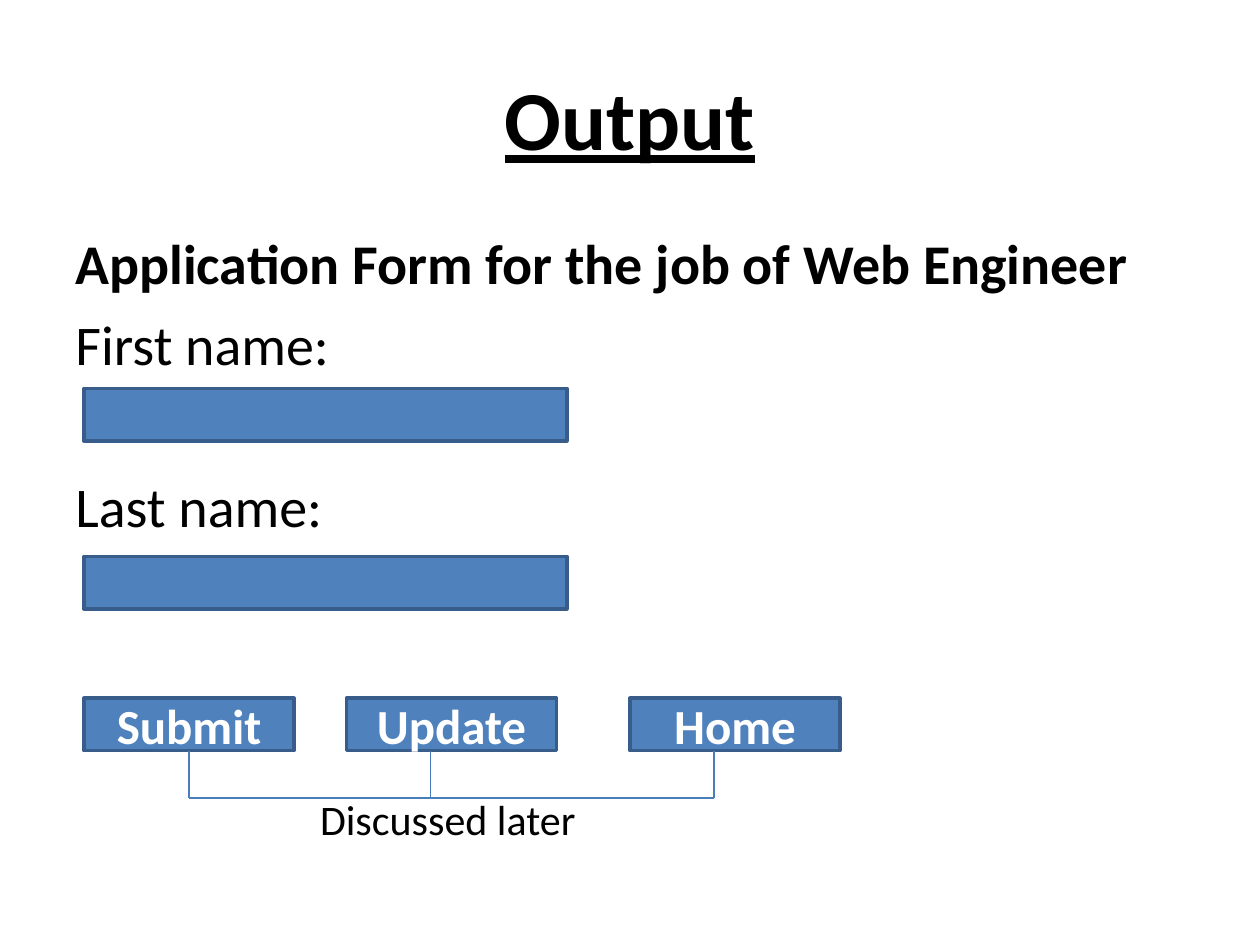
import pptx
import pptx.util
import pptx.dml.color
import pptx.enum.shapes
import pptx.enum.text
import pptx.oxml.ns
import lxml.etree

ALIGN = pptx.enum.text.PP_ALIGN
ANCHOR = pptx.enum.text.MSO_ANCHOR


def tint(code):
    return pptx.dml.color.RGBColor.from_string(code)


def unit(count):
    """Length of grid steps; the slide is 120 columns by 90 rows."""
    return pptx.util.Inches(count / 12)


class Page:
    font = "Calibri"
    ink, white = "000000", "FFFFFF"
    fill, edge, wire = "4F81BD", "385D8A", "4A7EBB"

    def __init__(self, deck):
        self.slide = deck.slides.add_slide(deck.slide_layouts[6])

    def style(self, para, size, color, bold=False, under=False):
        for run in para.runs:
            font = run.font
            font.name, font.size = self.font, pptx.util.Pt(size)
            font.bold, font.underline = bold, under
            font.color.rgb = tint(color)

    def text(self, grid, lines, size, bold=False, under=False,
             align=ALIGN.LEFT, anchor=ANCHOR.TOP):
        """Each line is a pair: its wording and the points before it."""
        box = self.slide.shapes.add_textbox(*map(unit, grid))
        frame = box.text_frame
        frame.word_wrap = True
        frame.vertical_anchor = anchor
        frame.text = "\n".join(words for words, gap in lines)
        for para, (words, gap) in zip(frame.paragraphs, lines):
            para.alignment = align
            para.space_before = pptx.util.Pt(gap)
            self.style(para, size, self.ink, bold, under)
        return frame

    def box(self, grid, label=""):
        kind = pptx.enum.shapes.MSO_SHAPE.RECTANGLE
        shape = self.slide.shapes.add_shape(kind, *map(unit, grid))
        shape.shadow.inherit = False
        shape.fill.solid()
        shape.fill.fore_color.rgb = tint(self.fill)
        shape.line.color.rgb = tint(self.edge)
        shape.line.width = pptx.util.Pt(2)
        if label:
            frame = shape.text_frame
            frame.text = label
            frame.vertical_anchor = ANCHOR.MIDDLE
            para = frame.paragraphs[0]
            para.alignment = ALIGN.CENTER
            self.style(para, 28, self.white, bold=True)
        return shape

    def line(self, *ends):
        kind = pptx.enum.shapes.MSO_CONNECTOR.STRAIGHT
        link = self.slide.shapes.add_connector(kind, *map(unit, ends))
        link.line.color.rgb = tint(self.wire)
        link.line.width = pptx.util.Pt(0.75)
        tag = pptx.oxml.ns.qn("a:effectLst")
        lxml.etree.SubElement(link._element.spPr, tag)
        return link


def main():
    deck = pptx.Presentation()
    deck.slide_width, deck.slide_height = unit(120), unit(90)
    page = Page(deck)

    # Title
    page.text((6, 3.6, 108, 15), [("Output", 0)], 48, bold=True, under=True,
              align=ALIGN.CENTER, anchor=ANCHOR.MIDDLE)

    # Heading and field labels
    lines = [("Application Form for the job of Web Engineer", 0),
             ("First name:", 8), ("Last name:", 54)]
    form = page.text((6, 21.2, 108, 33), lines, 32)
    form.paragraphs[0].runs[0].font.bold = True

    # Input fields
    left, tall = 8, 5
    for top in (37, 53):
        page.box((left, top, 46, tall))

    # Buttons, each with a wire down to the shared rail
    top, rail = 66.5, 76
    items = [("Submit", left, 18), ("Update", 33, 41), ("Home", 60, 68)]
    for label, col, drop in items:
        key = page.box((col, top, 20, tall), label)
        link = page.line(drop, top + tall, drop, rail)
        if drop == col + 10:
            link.begin_connect(key, 2)
    page.line(items[0][2], rail, items[-1][2], rail)

    # Note under the rail
    page.text((29.3, 75, 30, 6), [("Discussed later", 0)], 24)

    deck.save("out.pptx")


if __name__ == "__main__":
    main()
